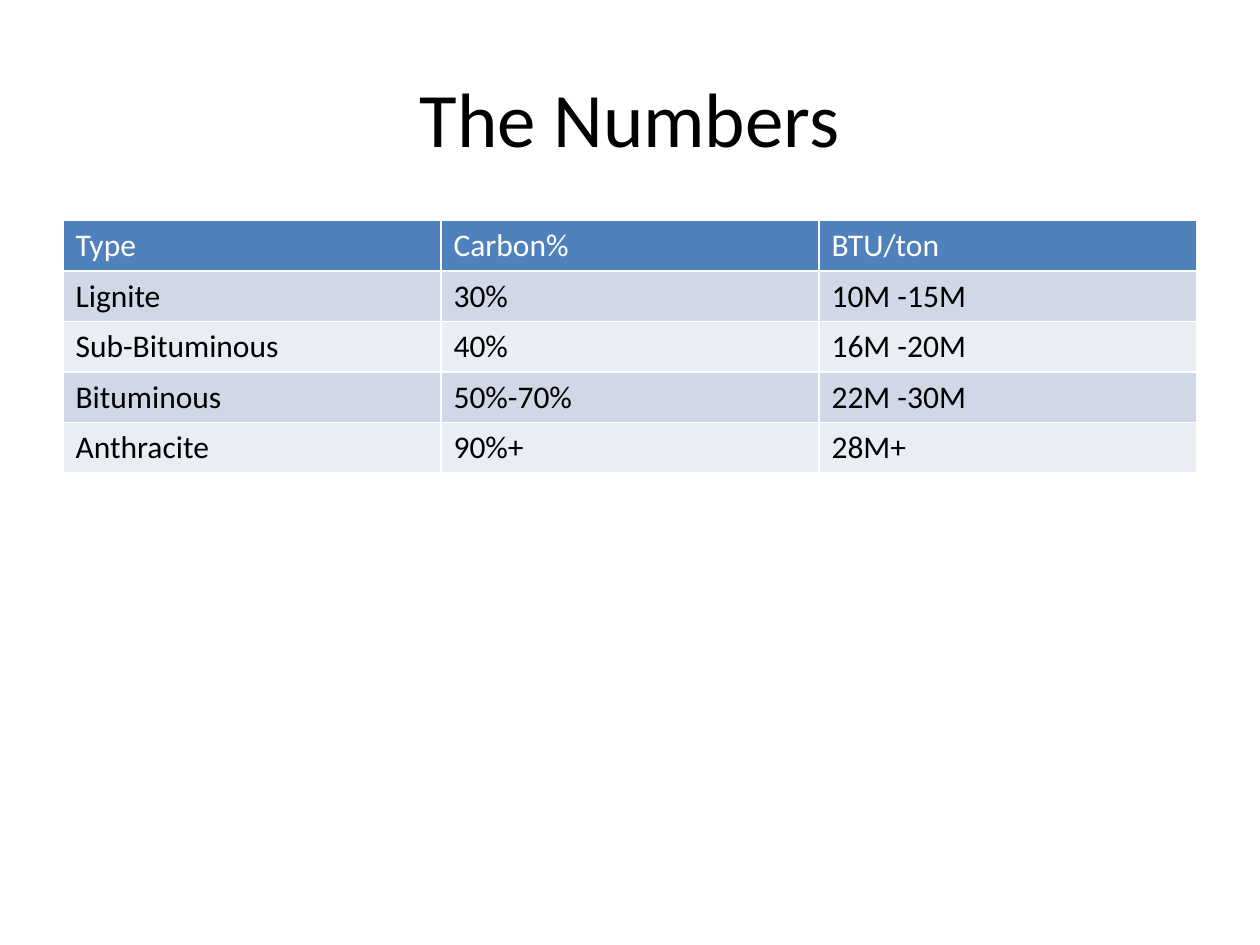
from pptx import Presentation
from pptx.dml.color import RGBColor
from pptx.enum.text import MSO_ANCHOR as Anchor, PP_ALIGN as Align
from pptx.util import Inches, Pt

COLORS = {
    "text": "000000",
    "header_text": "FFFFFF",
    "header": "4F81BD",
    "odd_row": "D0D8E8",
    "even_row": "E9EDF4",
}
FONT = "Calibri"
COAL_ROWS = [
    ("Type", "Carbon%", "BTU/ton"),
    ("Lignite", "30%", "10M -15M"),
    ("Sub-Bituminous", "40%", "16M -20M"),
    ("Bituminous", "50%-70%", "22M -30M"),
    ("Anthracite", "90%+", "28M+"),
]


def write_text(frame, text, size=18, color="text", align=Align.LEFT):
    """Write one formatted paragraph into a text frame."""
    para = frame.paragraphs[0]
    para.alignment = align
    span = para.add_run()
    span.text = text
    span.font.name = FONT
    span.font.size = Pt(size)
    span.font.bold = False
    span.font.color.rgb = RGBColor.from_string(COLORS[color])


def add_title(page, text, left, top, width, height):
    """Place the centred slide title in the given box."""
    box = page.shapes.add_textbox(left, top, width, height)
    frame = box.text_frame
    frame.word_wrap = True
    frame.vertical_anchor = Anchor.MIDDLE
    write_text(frame, text, size=44, align=Align.CENTER)


def add_coal_table(page, rows, left, top, width, row_height):
    """Place the banded coal table with equal columns and rows."""
    shape = page.shapes.add_table(
        len(rows), len(rows[0]), left, top, width, row_height * len(rows)
    )
    for row_index, row in enumerate(rows):
        is_header = row_index == 0
        band = "odd_row" if row_index % 2 else "even_row"
        fill = "header" if is_header else band
        for column_index, text in enumerate(row):
            cell = shape.table.cell(row_index, column_index)
            cell.fill.solid()
            cell.fill.fore_color.rgb = RGBColor.from_string(COLORS[fill])
            write_text(
                cell.text_frame, text, color="header_text" if is_header else "text"
            )


def main():
    """Build and save the slide."""
    deck = Presentation()
    deck.slide_width, deck.slide_height = Inches(10), Inches(7.5)
    page = deck.slides.add_slide(deck.slide_layouts[6])
    left, width = Inches(0.5), Inches(9)
    add_title(page, "The Numbers", left, Inches(0.3), width, Inches(1.25))
    add_coal_table(page, COAL_ROWS, left, Inches(1.75), width, Inches(0.4))
    deck.save("out.pptx")


if __name__ == "__main__":
    main()
